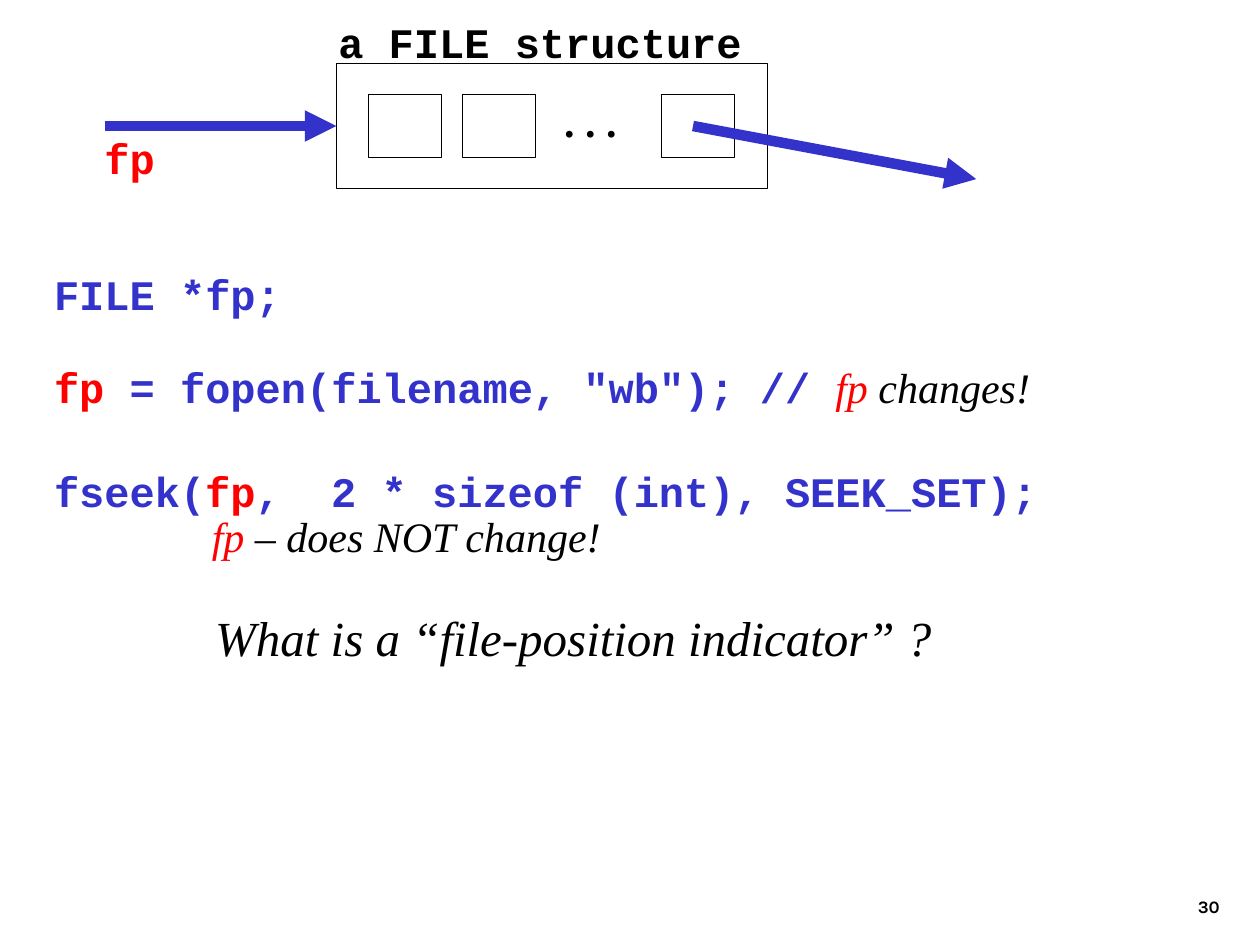
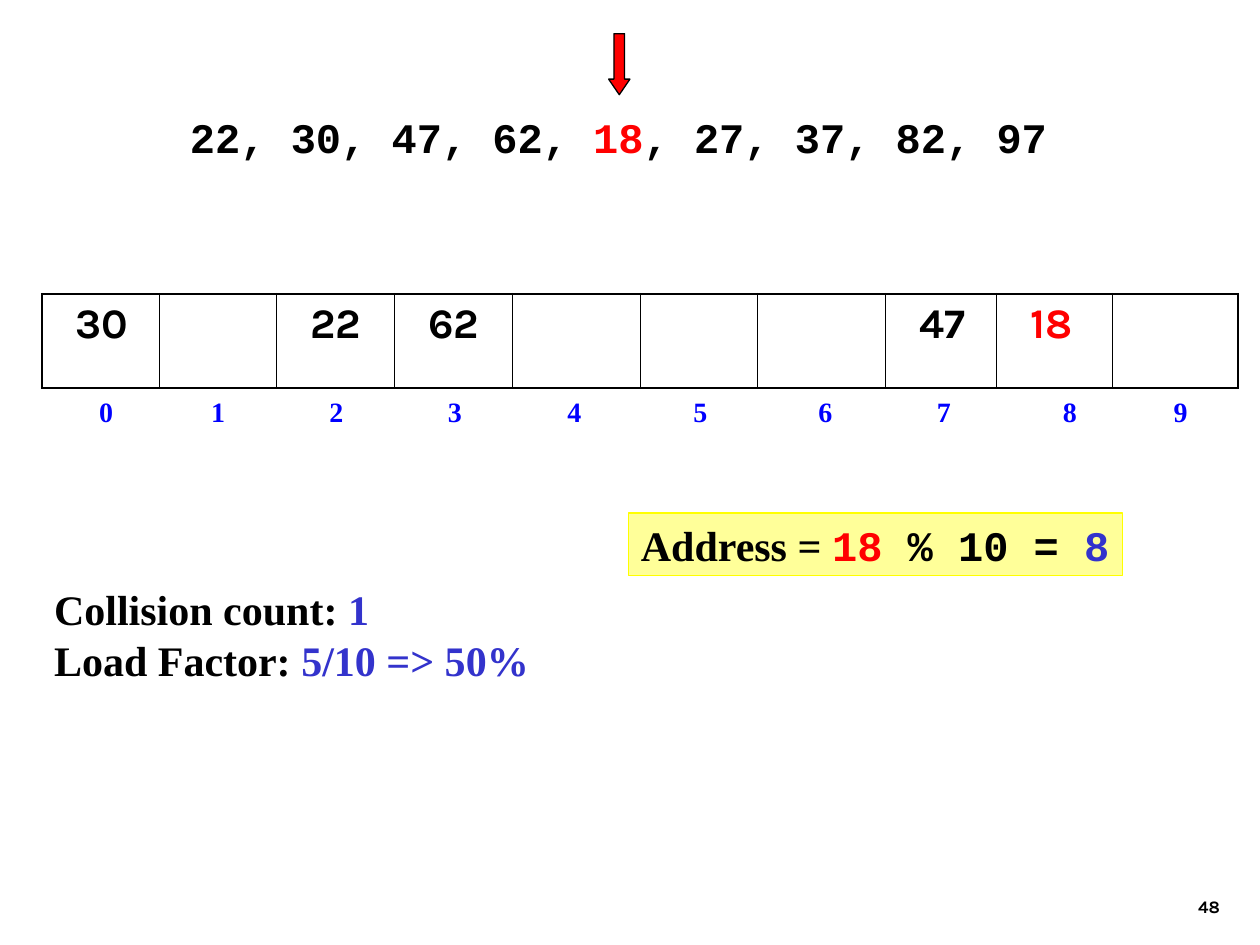
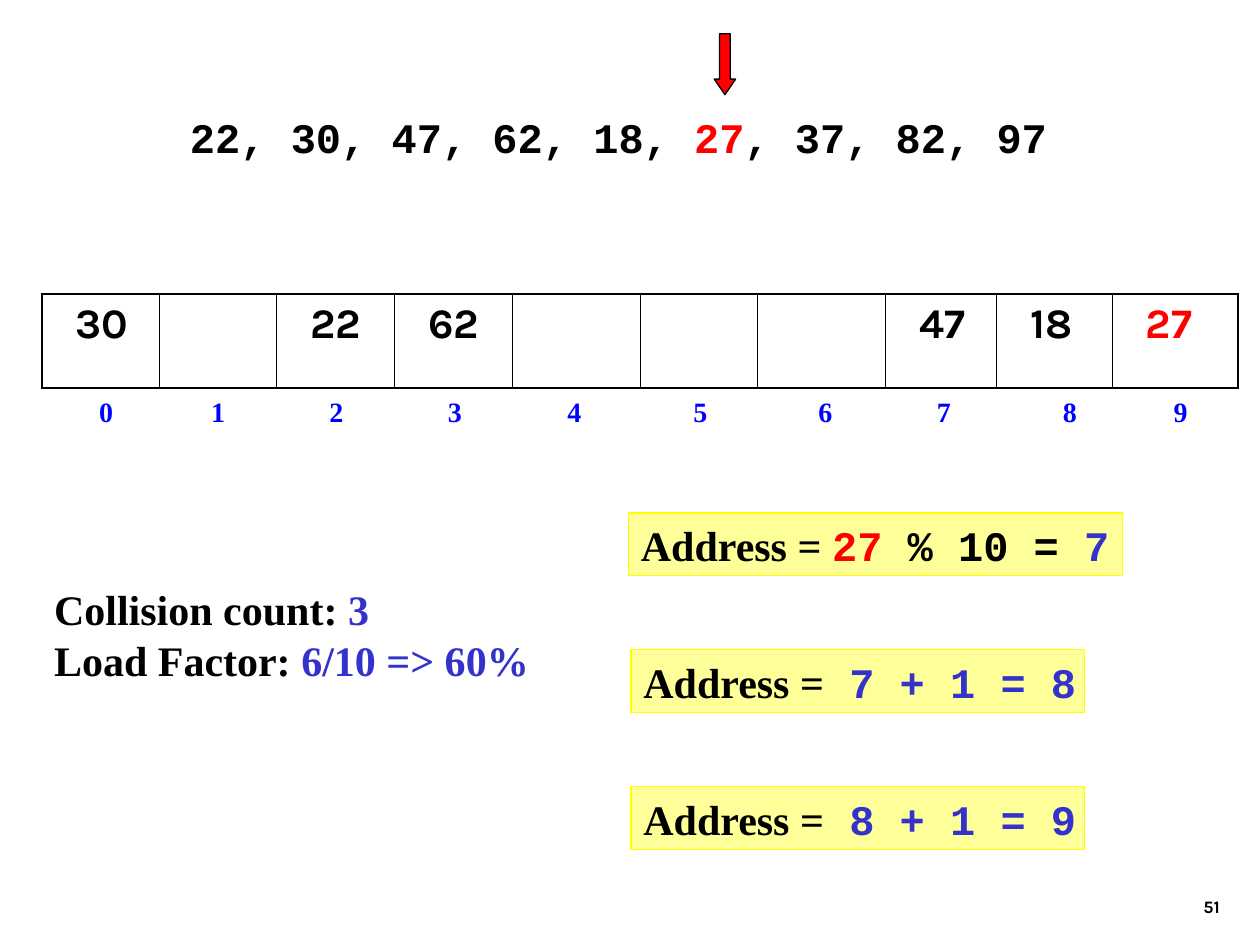
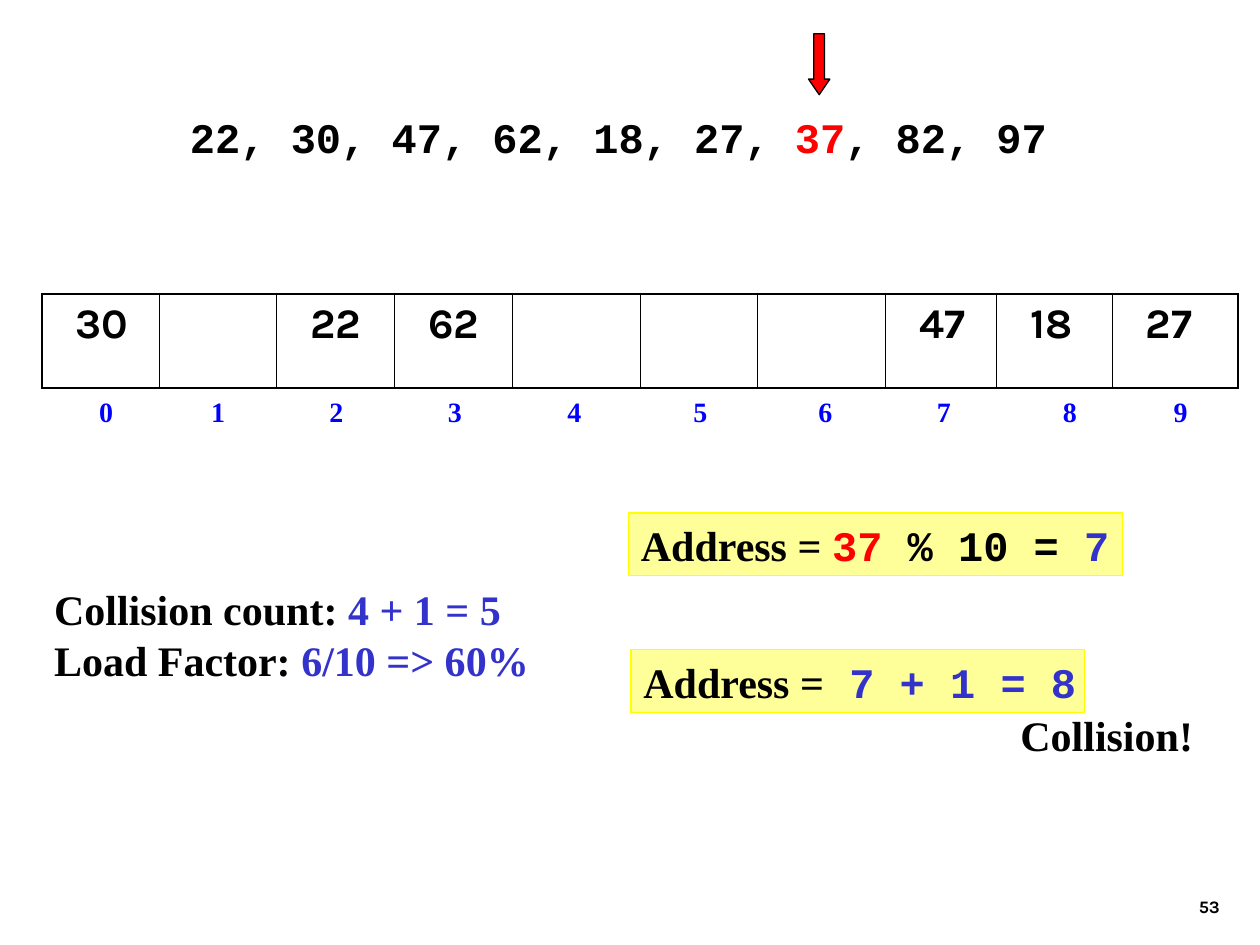
from dataclasses import dataclass
from itertools import accumulate

from lxml import etree
from pptx import Presentation
from pptx.dml.color import RGBColor
from pptx.enum.shapes import MSO_CONNECTOR, MSO_SHAPE
from pptx.enum.text import MSO_ANCHOR, MSO_AUTO_SIZE, PP_ALIGN
from pptx.oxml.ns import qn
from pptx.util import Cm, Pt

RECT, DOWN = MSO_SHAPE.RECTANGLE, MSO_SHAPE.DOWN_ARROW
LINE = MSO_CONNECTOR.STRAIGHT
LEFT, RIGHT = PP_ALIGN.LEFT, PP_ALIGN.RIGHT
TOP, BOTTOM = MSO_ANCHOR.TOP, MSO_ANCHOR.BOTTOM
FIXED = MSO_AUTO_SIZE.NONE


def face(name, size, bold=True, italic=False):
    return {"name": name, "size": Pt(size), "bold": bold, "italic": italic}


@dataclass(frozen=True)
class Theme:
    ink = "000000"
    red = "FF0000"
    blue = "3333CC"
    index = "0000FF"
    note = "FFFF99"
    edge = "FFFF00"
    code = face("Courier New", 24)
    body = face("Times New Roman", 24)
    aside = face("Times New Roman", 24, False, True)
    query = face("Times New Roman", 28, False, True)
    label = face("Times New Roman", 16)
    cell = face("Karla", 24)
    page = face("Karla", 10)


T = Theme()
KEYS = [22, 30, 47, 62, 18, 27, 37, 82, 97]
WIDE, MID = 2.37, 2.58
COLS = [WIDE, WIDE, WIDE, WIDE, MID, WIDE, MID, 2.24, 2.33, 2.54]
MARKS = [1.25, 3.51, 5.89, 8.28, 10.69, 13.23, 15.75, 18.14, 20.68, 22.91]


def rgb(code):
    return RGBColor.from_string(code)


# ---- shared parts ----

def apply(target, values):
    for key, value in values.items():
        setattr(target, key, value)


def write(par, runs):
    """Add (text, colour, style) runs to a paragraph."""
    for words, color, style in runs:
        run = par.add_run()
        run.text = words
        apply(run.font, style)
        run.font.color.rgb = rgb(color)


def fill_text(frame, lines, wrap=False, align=LEFT, anchor=TOP, gaps=()):
    apply(frame, {"word_wrap": wrap, "auto_size": FIXED,
                  "vertical_anchor": anchor,
                  "margin_left": Cm(0.25), "margin_right": Cm(0.25),
                  "margin_top": Cm(0.13), "margin_bottom": Cm(0.13)})
    for i, runs in enumerate(lines):
        par = frame.add_paragraph() if i else frame.paragraphs[0]
        par.alignment = align
        if i and gaps:
            par.space_before = Pt(gaps[i - 1])
        write(par, runs)


def text(slide, box, lines, **layout):
    item = slide.shapes.add_textbox(*map(Cm, box))
    fill_text(item.text_frame, lines, **layout)
    return item


def shape(slide, kind, box, line, width, fill=None):
    item = slide.shapes.add_shape(kind, *map(Cm, box))
    item.shadow.inherit = False
    if fill:
        item.fill.solid()
        item.fill.fore_color.rgb = rgb(fill)
    else:
        item.fill.background()
    item.line.color.rgb = rgb(line)
    item.line.width = Pt(width)
    return item


def arrow(slide, start, end):
    item = slide.shapes.add_connector(LINE, *map(Cm, start + end))
    item.line.color.rgb = rgb(T.blue)
    item.line.width = Pt(6)
    head = etree.SubElement(item.line._get_or_add_ln(), qn("a:tailEnd"))
    head.set("type", "triangle")
    etree.SubElement(item._element.spPr, qn("a:effectLst"))
    return item


def new_page(deck, number):
    slide = deck.slides.add_slide(deck.slide_layouts[6])
    text(slide, (19.56, 17.35, 5.28, 1.27), [[(str(number), T.ink, T.page)]],
         wrap=True, align=RIGHT, anchor=BOTTOM)
    return slide


# ---- file pointer slide ----

def draw_file(slide, box):
    """Draw the structure in the box, with its pointers around it."""
    x, y, w, h = box
    mid = y + h / 2
    frame = shape(slide, RECT, box, T.ink, 0.5)
    text(slide, (x - 0.22, y - 1.07, 8.64, 1.27),
         [[("a FILE structure", T.ink, T.code)]], align=RIGHT)
    text(slide, (x - 4.93, mid, 1.52, 1.27),
         [[("fp", T.red, T.code)]], align=RIGHT)
    arrow(slide, (x - 4.67, mid), (x, mid)).end_connect(frame, 1)
    # fields
    for left in (0.64, 2.54, 6.55):
        shape(slide, RECT, (x + left, y + h / 4, 1.48, h / 2), T.ink, 0.5)
    text(slide, (x + 4.35, y + 0.53, 1.55, 1.27),
         [[(". . .", T.ink, T.body)]], align=RIGHT)
    arrow(slide, (x + 7.19, mid), (x + 12.9, mid + 1.07))


def draw_code(slide, box):
    x, y, w, h = box
    lines = [
        [("FILE *fp;", T.blue, T.code)],
        [("fp", T.red, T.code),
         (' = fopen(filename, "wb"); // ', T.blue, T.code),
         ("fp", T.red, T.aside), (" changes!", T.ink, T.aside)],
        [("fseek(", T.blue, T.code), ("fp", T.red, T.code),
         (",  2 * sizeof (int), SEEK_SET);", T.blue, T.code)],
    ]
    text(slide, box, lines, wrap=True, gaps=(24.5, 30.5))
    # remarks below the code
    text(slide, (x + 3.18, y + 4.88, 9.09, 1.27),
         [[("fp ", T.red, T.aside),
           ("– does NOT change!", T.ink, T.aside)]], wrap=True)
    text(slide, (x + 3.25, y + 6.84, 14.94, 1.45),
         [[("What is a “file-position indicator” ?", T.ink, T.query)]])


def file_page(deck, number):
    slide = new_page(deck, number)
    draw_file(slide, (6.78, 1.27, 8.69, 2.54))
    draw_code(slide, (0.84, 5.28, 20.96, 5.18))


# ---- hash table slides ----

def draw_keys(slide, box, key, tip):
    """List the keys, with the current one in red under an arrow."""
    x, y, w, h = box
    at = KEYS.index(key)
    before = "".join(f"{k}, " for k in KEYS[:at])
    after = "".join(f", {k}" for k in KEYS[at + 1:])
    text(slide, box, [[(before, T.ink, T.code), (str(key), T.red, T.code),
                       (after, T.ink, T.code)]])
    mark = shape(slide, DOWN, (tip, y - 1.44, 0.43, 1.23), T.ink, 0.75, T.red)
    mark.adjustments[1] = 0.73


def border(cell, widths):
    props = cell._tc.get_or_add_tcPr()
    for i, (side, width) in enumerate(widths.items()):
        line = etree.Element(qn(f"a:ln{side}"), w=str(int(Pt(width))))
        paint = etree.SubElement(line, qn("a:solidFill"))
        etree.SubElement(paint, qn("a:srgbClr"), val=T.ink)
        props.insert(i, line)


def draw_slots(slide, box, slots, key):
    x, y, w, h = box
    # slot numbers on centred tab stops
    row = text(slide, (x - 0.2, y + h, w + 0.2, 1.63), [[]], wrap=True)
    par = row.text_frame.paragraphs[0]
    tabs = etree.SubElement(par._p.get_or_add_pPr(), qn("a:tabLst"))
    for stop in MARKS:
        etree.SubElement(tabs, qn("a:tab"), pos=str(int(Cm(stop))), algn="ctr")
    names = "".join(f"\t{i}" for i in range(len(MARKS)))
    write(par, [(names, T.index, T.label)])
    # slots
    table = slide.shapes.add_table(1, len(COLS), *map(Cm, box)).table
    apply(table, {"first_row": False, "horz_banding": False})
    table.rows[0].height = Cm(h)
    last = len(COLS) - 1
    for i, width in enumerate(COLS):
        table.columns[i].width = Cm(width)
        cell = table.cell(0, i)
        apply(cell, {"margin_left": Cm(0.68), "margin_right": Cm(0.1),
                     "margin_top": Cm(0.13), "margin_bottom": Cm(0.13)})
        cell.fill.background()
        border(cell, {"L": 0.45 if i else 1.08,
                      "R": 0.45 if i < last else 1.08,
                      "T": 1.08, "B": 1.08})
        if i in slots:
            color = T.red if slots[i] == key else T.ink
            write(cell.text_frame.paragraphs[0],
                  [(str(slots[i]), color, T.cell)])


def draw_count(slide, box, count, load):
    text(slide, box, [
        [("Collision count: ", T.ink, T.body), (count, T.blue, T.body)],
        [("Load Factor: ", T.ink, T.body), (load, T.blue, T.body)]])


def draw_steps(slide, box, key, probes):
    """Stack the address notes from the top of the box."""
    x, y, w, h = box
    home = str(key % 10)
    notes = [[("Address = ", T.ink, T.body), (str(key), T.red, T.code),
              (" % 10 = ", T.ink, T.code), (home, T.blue, T.code)]]
    notes += [[("Address =", T.ink, T.body), (f" {probe}", T.blue, T.code)]
              for probe in probes]
    tops = accumulate([2.76] * len(probes), initial=y)
    for i, (top, runs) in enumerate(zip(tops, notes)):
        spot = (x + 0.05, top, 9.14, h) if i else (x, top, w, h)
        note = shape(slide, RECT, spot, T.edge, 0.75, T.note)
        fill_text(note.text_frame, [runs])


def hash_page(deck, number, key, tip, slots, count, load, probes=(), tall=3.3):
    slide = new_page(deck, number)
    draw_slots(slide, (0.84, 5.92, 24.13, 1.9), slots, key)
    draw_keys(slide, (3.58, 2.12, 17.78, 1.27), key, tip)
    draw_count(slide, (0.84, 11.64, 10.08, tall), count, load)
    draw_steps(slide, (12.67, 10.34, 9.96, 1.27), key, probes)
    return slide


def main():
    deck = Presentation()
    deck.slide_width, deck.slide_height = Cm(25.4), Cm(19.05)
    file_page(deck, 30)
    slots = {0: 30, 2: 22, 3: 62, 7: 47, 8: 18}
    full = {**slots, 9: 27}
    hash_page(deck, 48, 18, 12.27, slots, "1", "5/10 => 50%", tall=2.29)
    hash_page(deck, 51, 27, 14.4, full, "3", "6/10 => 60%",
              ("7 + 1 = 8", "8 + 1 = 9"))
    clash = hash_page(deck, 53, 37, 16.3, full, "4 + 1 = 5", "6/10 => 60%",
                      ("7 + 1 = 8",))
    text(clash, (20.32, 14.17, 3.99, 1.27),
         [[("Collision!", T.ink, T.body)]])
    deck.save("out.pptx")


if __name__ == "__main__":
    main()
